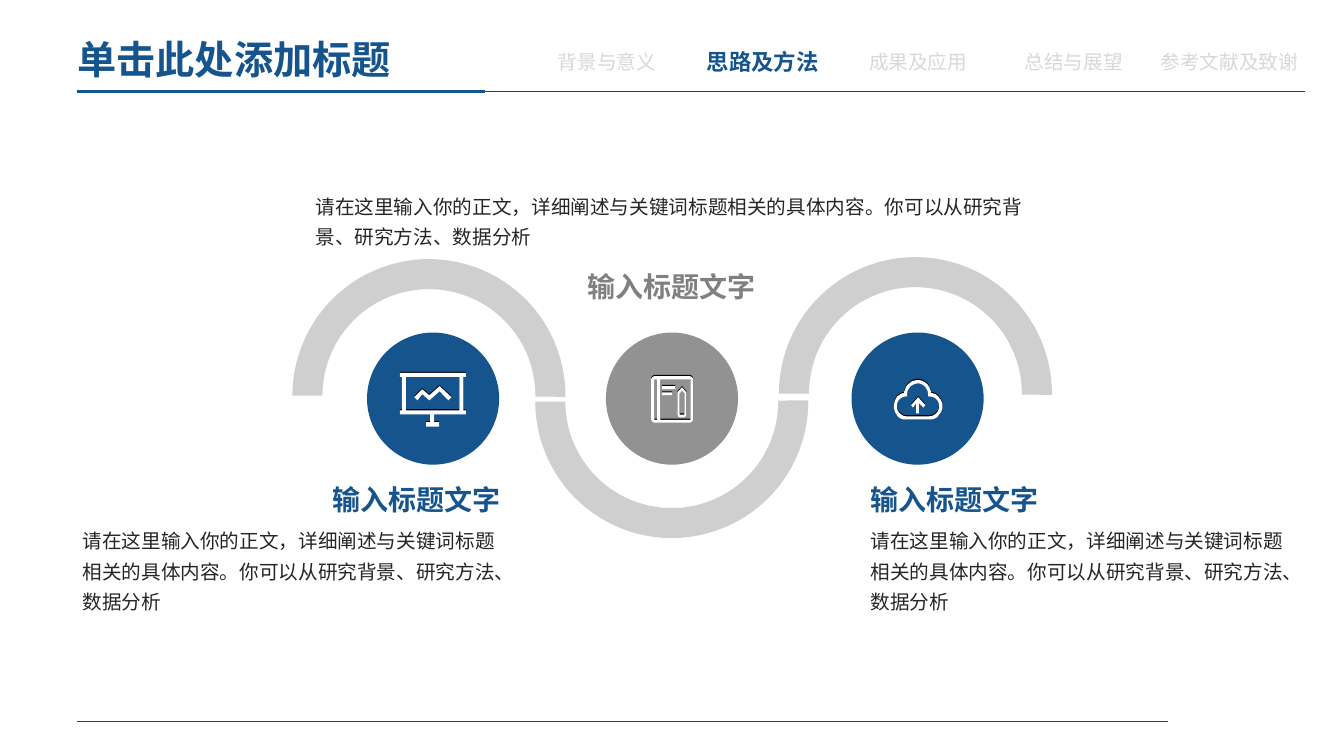
from lxml.etree import SubElement
from pptx import Presentation
from pptx.dml.color import RGBColor
from pptx.enum.shapes import MSO_CONNECTOR, MSO_SHAPE
from pptx.enum.text import MSO_ANCHOR, MSO_AUTO_SIZE, PP_ALIGN
from pptx.oxml.ns import qn
from pptx.util import Cm, Pt

BLUE, GRAY, PALE, INK, SLATE = "15548D", "929292", "CFCFCF", "262626", "373D43"
CJK = "Noto Sans CJK SC"
HEADING = "输入标题文字"
BODY = "请在这里输入你的正文，详细阐述与关键词标题相关的具体内容。你可以从研究背景、研究方法、数据分析"
SECTIONS = ["背景与意义", "思路及方法", "成果及应用", "总结与展望", "参考文献及致谢"]
CURRENT_SECTION = 1

BOARD = [
    [(166, 10), (166, 0), (0, 0), (0, 10), (5, 10), (5, 94), (0, 94), (0, 104),
     (76, 104), (76, 124), (66, 124), (66, 135), (99, 135), (99, 124), (86, 124),
     (86, 104), (166, 104), (166, 94), (160, 94), (160, 10)],
    [(15, 94), (15, 10), (150, 10), (150, 94)],
]
TREND = [[(100, 33), (74, 56), (56, 41), (36, 61), (44, 69), (56, 53), (74, 69),
          (100, 46), (122, 69), (130, 61)]]
NOTEBOOK = [
    [(96, 0), (10, 0), (5, 0, 0, 5, 0, 10), (0, 107), (0, 112, 5, 117, 10, 117),
     (96, 117), (101, 117, 106, 112, 106, 107), (106, 10), (106, 5, 101, 0, 96, 0)],
    [(8, 8), (15, 8), (15, 110), (8, 110)],
    [(23, 8), (99, 8), (99, 110), (23, 110)],
]
NOTE_LINES = [[(28, 41), (53, 41), (53, 48), (28, 48)], [(28, 25), (61, 25), (61, 33), (28, 33)]]
PENCIL = [
    [(66, 41), (66, 94), (66, 99, 69, 104, 74, 104), (81, 104),
     (86, 104, 89, 99, 89, 94), (89, 41), (78, 28)],
    [(72, 94), (72, 97, 72, 97, 74, 97), (81, 97), (84, 97, 84, 97, 84, 94),
     (84, 43), (78, 36), (72, 43)],
]
CLOUD = [
    [(112, 41), (107, 36, 102, 33, 94, 33), (91, 23, 89, 15, 84, 10),
     (76, 3, 69, 0, 61, 0), (51, 0, 43, 3, 36, 10), (30, 15, 28, 23, 25, 33),
     (20, 33, 13, 36, 8, 41), (3, 48, 0, 56, 0, 66), (0, 74, 3, 84, 8, 89),
     (13, 97, 20, 99, 30, 99), (89, 99), (99, 99, 107, 97, 112, 89),
     (117, 84, 122, 74, 122, 66), (122, 56, 117, 48, 112, 41)],
    [(89, 91), (30, 91), (18, 91, 7, 79, 7, 66), (7, 51, 18, 41, 30, 41), (33, 41),
     (33, 36), (33, 20, 46, 8, 61, 8), (74, 8, 86, 20, 86, 36), (86, 41), (89, 41),
     (104, 41, 114, 51, 114, 66), (114, 79, 104, 91, 89, 91)],
]
UPLOAD = [[(43, 63), (48, 69), (56, 58), (56, 84), (63, 84), (63, 58), (74, 69),
           (79, 63), (61, 43)]]
ICONS = [
    (10.08, 9.37, [BOARD, TREND]),
    (16.41, 9.45, [NOTEBOOK, PENCIL]),
    (22.53, 9.55, [CLOUD, UPLOAD]),
]


def rgb(color):
    return RGBColor.from_string(color)


def paint(shape, color):
    shape.shadow.inherit = False
    shape.fill.solid()
    shape.fill.fore_color.rgb = rgb(color)
    shape.line.fill.background()


def add_preset(slide, kind, left, top, width, height, color):
    shape = slide.shapes.add_shape(kind, Cm(left), Cm(top), Cm(width), Cm(height))
    paint(shape, color)
    return shape


def add_arc(slide, left, top, flipped):
    arc = add_preset(slide, MSO_SHAPE.BLOCK_ARC, left, top, 6.88, 6.88, PALE)
    for index, value in enumerate((108, 0.31, 0.11)):
        arc.adjustments[index] = value
    if flipped:
        arc._element.spPr.find(qn("a:xfrm")).set("flipV", "1")


def flatten(contour, steps=6):
    points = []
    for node in contour:
        if len(node) == 2:
            points.append(node)
            continue
        start, bend, pull, end = points[-1], node[:2], node[2:4], node[4:]
        for step in range(1, steps + 1):
            t = step / steps
            u = 1 - t
            points.append(tuple(
                u ** 3 * a + 3 * u * u * t * b + 3 * u * t * t * c + t ** 3 * d
                for a, b, c, d in zip(start, bend, pull, end)))
    return points


def add_outline(slide, left, top, contours, color):
    first, *holes = [flatten(contour) for contour in contours]
    builder = slide.shapes.build_freeform(*first[0], scale=Cm(0.01))
    builder.add_line_segments(first[1:])
    for hole in holes:
        builder.move_to(*hole[0])
        builder.add_line_segments(hole[1:])
    paint(builder.convert_to_shape(Cm(left), Cm(top)), color)


def add_icons(slide, shift, color):
    for left, top, outlines in ICONS:
        for contours in outlines:
            add_outline(slide, left, top + shift, contours, color)
    left, top, _ = ICONS[1]
    for (x, y), _, (right, bottom), _ in NOTE_LINES:
        add_preset(slide, MSO_SHAPE.RECTANGLE, left + x / 100, top + shift + y / 100,
                   (right - x) / 100, (bottom - y) / 100, color)


def write(frame, text, size, color, bold=False, font=CJK, align=PP_ALIGN.LEFT, spacing=1.0):
    frame.text = text
    paragraph = frame.paragraphs[0]
    paragraph.alignment = align
    paragraph.line_spacing = spacing
    run = paragraph.runs[0]
    run.font.size = Pt(size)
    run.font.bold = bold
    run.font.color.rgb = rgb(color)
    run.font.name = font
    SubElement(run._r.rPr, qn("a:ea")).set("typeface", CJK)


def add_text(slide, left, top, width, height, text, size, color, wrap=True, **style):
    frame = slide.shapes.add_textbox(Cm(left), Cm(top), Cm(width), Cm(height)).text_frame
    frame.word_wrap = wrap
    write(frame, text, size, color, **style)
    return frame


def add_rule(slide, left, right, y, color, weight):
    rule = slide.shapes.add_connector(MSO_CONNECTOR.STRAIGHT, Cm(left), Cm(y), Cm(right), Cm(y))
    rule.line.color.rgb = rgb(color)
    rule.line.width = Pt(weight)
    SubElement(rule._element.spPr, qn("a:effectLst"))


def add_title(slide):
    title = slide.shapes.title
    title.left, title.top, title.width, title.height = Cm(1.7), Cm(0.89), Cm(8.48), Cm(1.35)
    frame = title.text_frame
    frame.word_wrap = False
    frame.auto_size = MSO_AUTO_SIZE.SHAPE_TO_FIT_TEXT
    frame.vertical_anchor = MSO_ANCHOR.TOP
    write(frame, "单击此处添加标题", 28, BLUE, bold=True, spacing=0.9)


def add_navigation(slide):
    for index, section in enumerate(SECTIONS):
        current = index == CURRENT_SECTION
        frame = add_text(slide, 13.41 + 3.92 * index, 1.04, 3.78, 1.02, section,
                         16 if current else 14, BLUE if current else "D8D8D8",
                         wrap=False, bold=current, font="Arial", align=PP_ALIGN.CENTER)
        frame.margin_left = frame.margin_right = Cm(0)
        frame.vertical_anchor = MSO_ANCHOR.MIDDLE


def main():
    presentation = Presentation()
    presentation.slide_width, presentation.slide_height = Cm(33.87), Cm(19.05)
    slide = presentation.slides.add_slide(presentation.slide_layouts[5])

    for left, top, flipped in ((7.37, 6.53, False), (13.49, 6.68, True), (19.63, 6.48, False)):
        add_arc(slide, left, top, flipped)
    for left, color in ((9.25, BLUE), (15.27, GRAY), (21.46, BLUE)):
        add_preset(slide, MSO_SHAPE.OVAL, left, 8.38, 3.33, 3.33, color)
    add_icons(slide, 0, "000000")
    add_icons(slide, 0.03, "FFFFFF")

    for left, top, width, height in ((1.83, 13.03, 11.02, 2.51), (21.69, 13.03, 11.02, 2.51),
                                     (7.7, 4.6, 18.47, 1.73)):
        add_text(slide, left, top, width, height, BODY, 14, INK, spacing=1.3)
    for left, top, color, align in ((6.84, 12.04, BLUE, PP_ALIGN.RIGHT),
                                    (21.69, 12.04, BLUE, PP_ALIGN.LEFT),
                                    (13.92, 6.66, "808080", PP_ALIGN.CENTER)):
        add_text(slide, left, top, 6.02, 1.12, HEADING, 20, color, bold=True, align=align)

    add_navigation(slide)
    add_rule(slide, 1.93, 32.89, 2.31, SLATE, 0.5)
    add_rule(slide, 1.93, 29.44, 18.18, SLATE, 0.5)
    add_rule(slide, 1.93, 12.22, 2.31, BLUE, 1.75)
    add_title(slide)
    presentation.save("out.pptx")


if __name__ == "__main__":
    main()
